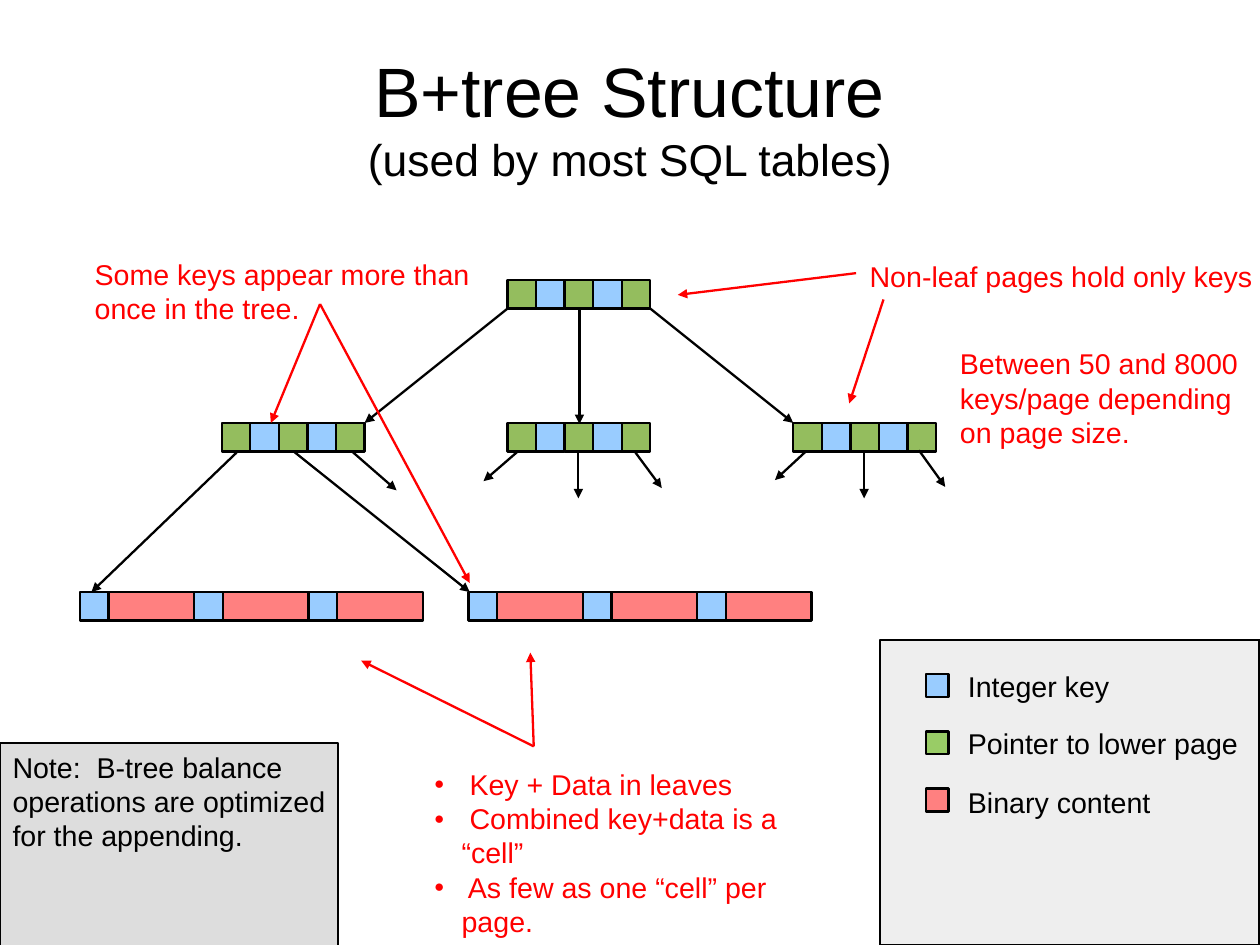
"""Build the B+tree structure slide."""
import pptx
import pptx.util
import pptx.dml.color
import pptx.enum.shapes
import pptx.enum.text
from lxml import etree
from pptx.oxml.ns import qn
from pptx.util import Inches

COLORS = {
    "black": "000000", "red": "FF0000", "pointer": "94BD5E", "key": "99CCFF",
    "data": "FF8080", "legend_pointer": "99CC66", "legend": "EEEEEE", "note": "DDDDDD",
}
CELL = 0.25
LINE_WIDTH = 1.45
NODE = [("pointer", CELL), ("key", CELL)] * 2 + [("pointer", CELL)]
LEAF = [("key", CELL), ("data", 3 * CELL)] * 3
NODES_AT = [(4.44, 2.45), (1.94, 3.7), (4.44, 3.7), (6.94, 3.7)]
LEAVES_AT = [(0.7, 5.18), (4.1, 5.18)]

TREE_ARROWS = [
    (4.44, 2.7, 3.19, 3.7), (5.07, 2.71, 5.07, 3.71), (5.69, 2.7, 6.94, 3.7),
    (2.07, 3.96, 0.8, 5.18), (2.57, 3.95, 4.11, 5.18), (3.08, 3.95, 3.47, 4.29),
    (4.53, 3.95, 4.23, 4.21), (5.06, 3.94, 5.06, 4.36), (5.56, 3.96, 5.79, 4.27),
    (7.05, 3.95, 6.78, 4.2), (7.56, 3.94, 7.56, 4.36), (8.04, 3.94, 8.27, 4.26),
]
NOTE_ARROWS = [
    (7.49, 2.39, 5.93, 2.58), (7.73, 2.62, 7.43, 3.53),
    (4.67, 6.53, 3.16, 5.78), (4.67, 6.53, 4.64, 5.71),
    (2.8, 2.66, 4.11, 5.1), (2.8, 2.66, 2.37, 3.7),
]
CALLOUTS = [
    (7.51, 2.22, 3.55, 0.38, ["Non-leaf pages hold only keys"]),
    (8.3, 2.98, 2.72, 0.94,
     ["Between 50 and 8000", "keys/page depending", "on page size."]),
    (0.73, 2.2, 3.48, 0.66, ["Some keys appear more than", "once in the tree."]),
]
LEAF_FACTS = [" Key + Data in leaves", " Combined key+data is a “cell”",
              " As few as one “cell” per page."]
LEGEND = [("key", 5.9, 5.8, 1.5, "Integer key"),
          ("legend_pointer", 6.4, 6.3, 2.56, "Pointer to lower page"),
          ("data", 6.9, 6.82, 1.8, "Binary content")]
NOTE = ["Note:  B-tree balance", "operations are optimized", "for the appending."]


def rgb(name):
    return pptx.dml.color.RGBColor.from_string(COLORS[name])


def add_run(p, text, size, color):
    r = p.add_run()
    r.text = text
    r.font.name = "Arial"
    r.font.size = pptx.util.Pt(size)
    r.font.color.rgb = rgb(color)


def add_box(s, x, y, w, h, fill):
    sp = s.shapes.add_shape(pptx.enum.shapes.MSO_SHAPE.RECTANGLE,
                            Inches(x), Inches(y), Inches(w), Inches(h))
    sp.shadow.inherit = False
    sp.fill.solid()
    sp.fill.fore_color.rgb = rgb(fill)
    sp.line.color.rgb = rgb("black")
    sp.line.width = pptx.util.Pt(LINE_WIDTH)
    return sp


def add_cells(s, x, y, cells):
    for fill, width in cells:
        add_box(s, x, y, width, CELL, fill)
        x += width


def add_arrow(s, x1, y1, x2, y2, color):
    sp = s.shapes.add_connector(pptx.enum.shapes.MSO_CONNECTOR.STRAIGHT,
                                Inches(x1), Inches(y1), Inches(x2), Inches(y2))
    sp.line.color.rgb = rgb(color)
    sp.line.width = pptx.util.Pt(LINE_WIDTH)
    etree.SubElement(sp.line._get_or_add_ln(), qn("a:tailEnd"), type="triangle")
    etree.SubElement(sp._element.spPr, qn("a:effectLst"))


def add_bullet(p, color):
    pPr = p._p.get_or_add_pPr()
    pPr.set("marL", str(Inches(0.24)))
    pPr.set("indent", str(-Inches(0.24)))
    bu_clr = etree.SubElement(pPr, qn("a:buClr"))
    etree.SubElement(bu_clr, qn("a:srgbClr"), val=COLORS[color])
    etree.SubElement(pPr, qn("a:buSzPct"), val="60000")
    etree.SubElement(pPr, qn("a:buFont"), typeface="Arial")
    etree.SubElement(pPr, qn("a:buChar"), char="●")


def write_lines(tf, lines, color, bullets=False):
    tf.word_wrap = bullets
    tf.vertical_anchor = pptx.enum.text.MSO_ANCHOR.TOP
    for i, line in enumerate(lines):
        p = tf.add_paragraph() if i else tf.paragraphs[0]
        p.alignment = pptx.enum.text.PP_ALIGN.LEFT
        if bullets:
            add_bullet(p, color)
        add_run(p, line, 18, color)


def add_text(s, x, y, w, h, lines, color, bullets=False):
    sp = s.shapes.add_textbox(Inches(x), Inches(y), Inches(w), Inches(h))
    write_lines(sp.text_frame, lines, color, bullets)


def add_title(s):
    sp = s.shapes.add_textbox(Inches(0.55), Inches(0.33), Inches(9.92), Inches(1.38))
    tf = sp.text_frame
    tf.word_wrap = True
    tf.vertical_anchor = pptx.enum.text.MSO_ANCHOR.MIDDLE
    tf.margin_left = tf.margin_right = tf.margin_top = tf.margin_bottom = 0
    p = tf.paragraphs[0]
    p.alignment = pptx.enum.text.PP_ALIGN.CENTER
    add_run(p, "B+tree Structure", 44, "black")
    p.add_line_break()
    add_run(p, "(used by most SQL tables)", 28, "black")


def add_legend(s):
    add_box(s, 7.7, 5.6, 3.32, 2.67, "legend")
    for fill, swatch_y, text_y, width, label in LEGEND:
        add_box(s, 8.1, swatch_y, 0.2, 0.2, fill)
        add_text(s, 8.37, text_y, width, 0.38, [label], "black")


def add_note(s):
    tf = add_box(s, 0, 6.5, 2.96, 1.79, "note").text_frame
    tf.margin_left = tf.margin_right = Inches(0.11)
    tf.margin_top = tf.margin_bottom = Inches(0.06)
    write_lines(tf, NOTE, "black")


def main():
    prs = pptx.Presentation()
    prs.slide_width, prs.slide_height = Inches(28 / 2.54), Inches(21 / 2.54)
    s = prs.slides.add_slide(prs.slide_layouts[6])
    add_title(s)
    for x, y in NODES_AT:
        add_cells(s, x, y, NODE)
    for x, y in LEAVES_AT:
        add_cells(s, x, y, LEAF)
    for ends in TREE_ARROWS:
        add_arrow(s, *ends, "black")
    for x, y, w, h, lines in CALLOUTS:
        add_text(s, x, y, w, h, lines, "red")
    add_text(s, 3.7, 6.66, 3.69, 0.94, LEAF_FACTS, "red", bullets=True)
    for ends in NOTE_ARROWS:
        add_arrow(s, *ends, "red")
    add_legend(s)
    add_note(s)
    prs.save("out.pptx")


if __name__ == "__main__":
    main()
